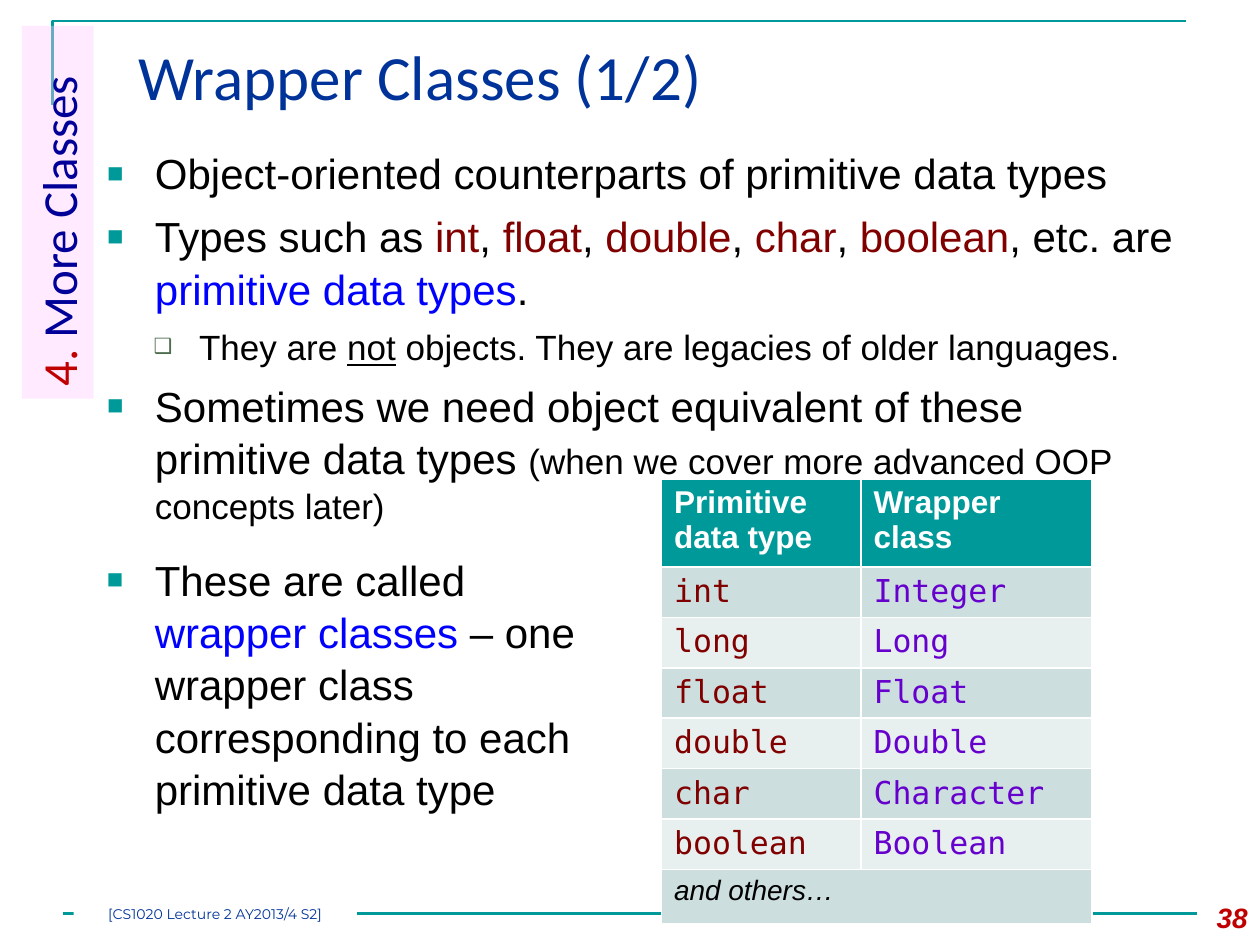
"""Build the slide on wrapper classes."""
from dataclasses import dataclass

from lxml import etree
from pptx import Presentation, util as u
from pptx.dml.color import RGBColor
from pptx.enum import shapes, text
from pptx.oxml import ns


@dataclass(frozen=True)
class Theme:
    """Hold the colours, fonts and type sizes."""
    teal: str = "009999"
    navy: str = "003399"
    indigo: str = "000099"
    red: str = "C00000"
    maroon: str = "800000"
    blue: str = "0000FF"
    purple: str = "6600CC"
    sage: str = "4C6D4E"
    pink: str = "FFCCFF"
    black: str = "000000"
    white: str = "FFFFFF"
    bands: tuple = ("CCDEDE", "E7EFEF")
    body_font: str = "Arial"
    head_font: str = "Calibri"
    code_font: str = "DejaVu Sans Mono"
    note_font: str = "Montserrat"
    title: int = 36
    side: int = 28
    main: int = 24
    sub: int = 20
    cell: int = 18
    small: int = 16
    note: int = 8


THEME = Theme()
COLUMNS_PER_INCH = 12
BULLETS = (("■", THEME.teal, 65, 0.38, -0.38, THEME.main),
           ("❑", THEME.sage, 60, 0.73, -0.36, THEME.sub))
KEYWORDS = ("int", "float", "double", "char", "boolean")
WRAPPERS = (("int", "Integer"), ("long", "Long"), ("float", "Float"),
            ("double", "Double"), ("char", "Character"), ("boolean", "Boolean"))


def grid(*counts):
    """Turn counts of grid steps into lengths."""
    return [u.Inches(count / COLUMNS_PER_INCH) for count in counts]


def place(shape, *box):
    """Move a shape to a box given in grid steps."""
    shape.left, shape.top, shape.width, shape.height = grid(*box)


def add_run(paragraph, words, size, color=THEME.black, font=THEME.body_font, **styles):
    """Add one formatted run."""
    run = paragraph.add_run()
    run.text = words
    run.font.size, run.font.name = u.Pt(size), font
    run.font.color.rgb = RGBColor.from_string(color)
    for name, value in styles.items():
        setattr(run.font, name, value)


def prepare_frame(shape, anchor=text.MSO_ANCHOR.TOP):
    """Wrap and anchor the text, and return the first paragraph."""
    frame = shape.text_frame
    frame.word_wrap, frame.auto_size = True, text.MSO_AUTO_SIZE.NONE
    frame.vertical_anchor = anchor
    frame.paragraphs[0].alignment = text.PP_ALIGN.LEFT
    return frame.paragraphs[0]


def add_text_box(slide, *box):
    """Add a text box and return its first paragraph."""
    return prepare_frame(slide.shapes.add_textbox(*grid(*box)))


def add_panel(slide, color, *box):
    """Add a filled rectangle without an outline."""
    panel = slide.shapes.add_shape(shapes.MSO_SHAPE.RECTANGLE, *grid(*box))
    panel.shadow.inherit = False
    panel.fill.solid()
    panel.fill.fore_color.rgb = RGBColor.from_string(color)
    panel.line.fill.background()
    return panel


def style_line(shape):
    """Give a rule its colour and width."""
    shape.line.color.rgb = RGBColor.from_string(THEME.teal)
    shape.line.width = u.Pt(1.5)


def add_rules(slide):
    """Draw the corner rule and the footer rule."""
    builder = slide.shapes.build_freeform(*grid(5, 10))
    builder.add_line_segments([grid(5, 2), grid(113, 2)], close=False)
    corner = builder.convert_to_shape()
    corner.shadow.inherit = False
    corner.fill.background()
    style_line(corner)
    footer = slide.shapes.add_connector(shapes.MSO_CONNECTOR.STRAIGHT, *grid(6, 87, 114, 87))
    style_line(footer)
    etree.SubElement(footer._element.spPr, ns.qn("a:effectLst"))


def add_bullet(paragraph, runs, level=0):
    """Format a bulleted paragraph and add its runs."""
    mark, color, percent, margin, indent, size = BULLETS[level]
    paragraph.level = level
    paragraph.alignment = text.PP_ALIGN.LEFT
    paragraph.space_before, paragraph.line_spacing = u.Pt(6), 1.04
    properties = paragraph._p.get_or_add_pPr()
    properties.set("marL", str(u.Inches(margin)))
    properties.set("indent", str(u.Inches(indent)))
    holder = etree.SubElement(properties, ns.qn("a:buClr"))
    etree.SubElement(holder, ns.qn("a:srgbClr"), val=color)
    etree.SubElement(properties, ns.qn("a:buSzPct"), val=str(percent * 1000))
    etree.SubElement(properties, ns.qn("a:buFont"), typeface=THEME.body_font)
    etree.SubElement(properties, ns.qn("a:buChar"), char=mark)
    for words, styles in runs:
        add_run(paragraph, words, **{"size": size, **styles})


def fill_body(body):
    """Write the main list."""
    types = [("Types such as ", {})]
    for keyword in KEYWORDS:
        separator = ", etc. are " if keyword == KEYWORDS[-1] else ", "
        types += [(keyword, {"color": THEME.maroon}), (separator, {})]
    types += [("primitive data types", {"color": THEME.blue}), (".", {})]
    items = (
        (0, [("Object-oriented counterparts of primitive data types", {})]),
        (0, types),
        (1, [("They are ", {}), ("not", {"underline": True}),
             (" objects. They are legacies of older languages.", {})]),
        (0, [("Sometimes we need object equivalent of these primitive data types ", {}),
             ("(when we cover more advanced OOP concepts later)", {"size": THEME.sub})]),
    )
    paragraph = prepare_frame(body)
    for index, (level, runs) in enumerate(items):
        if index:
            paragraph = body.text_frame.add_paragraph()
        add_bullet(paragraph, runs, level)


def fill_cell(cell, background, words, **styles):
    """Fill a table cell and write its text."""
    cell.fill.solid()
    cell.fill.fore_color.rgb = RGBColor.from_string(background)
    add_run(cell.text_frame.paragraphs[0], words, **{"size": THEME.cell, **styles})


def add_wrapper_table(slide):
    """Add the table of primitive types and their wrappers."""
    last = len(WRAPPERS) + 1
    table = slide.shapes.add_table(last + 1, 2, *grid(63, 45.6, 41, 42)).table
    for column, width in zip(table.columns, grid(19, 22)):
        column.width = width
    for row in table.rows:
        row.height = u.Inches(0.4)
    table.rows[0].height, table.rows[last].height = u.Inches(0.7), u.Inches(0.43)
    for cell, heading in zip(table.rows[0].cells, ("Primitive data type", "Wrapper class")):
        fill_cell(cell, THEME.teal, heading, color=THEME.white, bold=True)
    for index, names in enumerate(WRAPPERS):
        for column, color in enumerate((THEME.maroon, THEME.purple)):
            fill_cell(table.cell(index + 1, column), THEME.bands[index % 2],
                      names[column], color=color, font=THEME.code_font)
    table.cell(last, 0).merge(table.cell(last, 1))
    fill_cell(table.cell(last, 0), THEME.bands[0], "and others…",
              size=THEME.small, italic=True)


def add_footer(slide):
    """Add the page number and the course label."""
    number = add_text_box(slide, 112, 85.2, 8, 4.8)
    number.alignment = text.PP_ALIGN.RIGHT
    add_run(number, "38", THEME.small, THEME.red, bold=True, italic=True)
    label = add_panel(slide, THEME.white, 7, 86, 27, 2)
    paragraph = prepare_frame(label, text.MSO_ANCHOR.MIDDLE)
    frame = label.text_frame
    frame.margin_left = frame.margin_right = frame.margin_top = frame.margin_bottom = 0
    paragraph.alignment = text.PP_ALIGN.CENTER
    add_run(paragraph, "[CS1020 Lecture 2 AY2013/4 S2]", THEME.note, THEME.navy, THEME.note_font)


def add_side_tab(slide):
    """Add the turned section tab."""
    tab = add_panel(slide, THEME.pink, -12.24, 16.8, 35.5, 6.84)
    tab.rotation = 270
    color = tab._element.spPr.find(".//" + ns.qn("a:srgbClr"))
    etree.SubElement(color, ns.qn("a:alpha"), val="40000")
    paragraph = prepare_frame(tab)
    add_run(paragraph, "4.", THEME.side, THEME.red, THEME.head_font)
    add_run(paragraph, " More Classes", THEME.side, THEME.indigo, THEME.head_font)


def main():
    """Build and save the slide."""
    presentation = Presentation()
    presentation.slide_width, presentation.slide_height = grid(120, 90)
    slide = presentation.slides.add_slide(presentation.slide_layouts[1])
    title, body = slide.placeholders
    place(title, 12, 3, 102, 10.3)
    add_run(prepare_frame(title), "Wrapper Classes (1/2)", THEME.title, THEME.navy, THEME.head_font)
    place(body, 9, 13.3, 105, 37.7)
    fill_body(body)
    add_rules(slide)
    add_footer(slide)
    add_side_tab(slide)
    add_wrapper_table(slide)
    add_bullet(add_text_box(slide, 9, 52, 51, 28.8), [
        ("These are called ", {}), ("wrapper classes", {"color": THEME.blue}),
        (" – one wrapper class corresponding to each primitive data type", {})])
    presentation.save("out.pptx")


if __name__ == "__main__":
    main()
